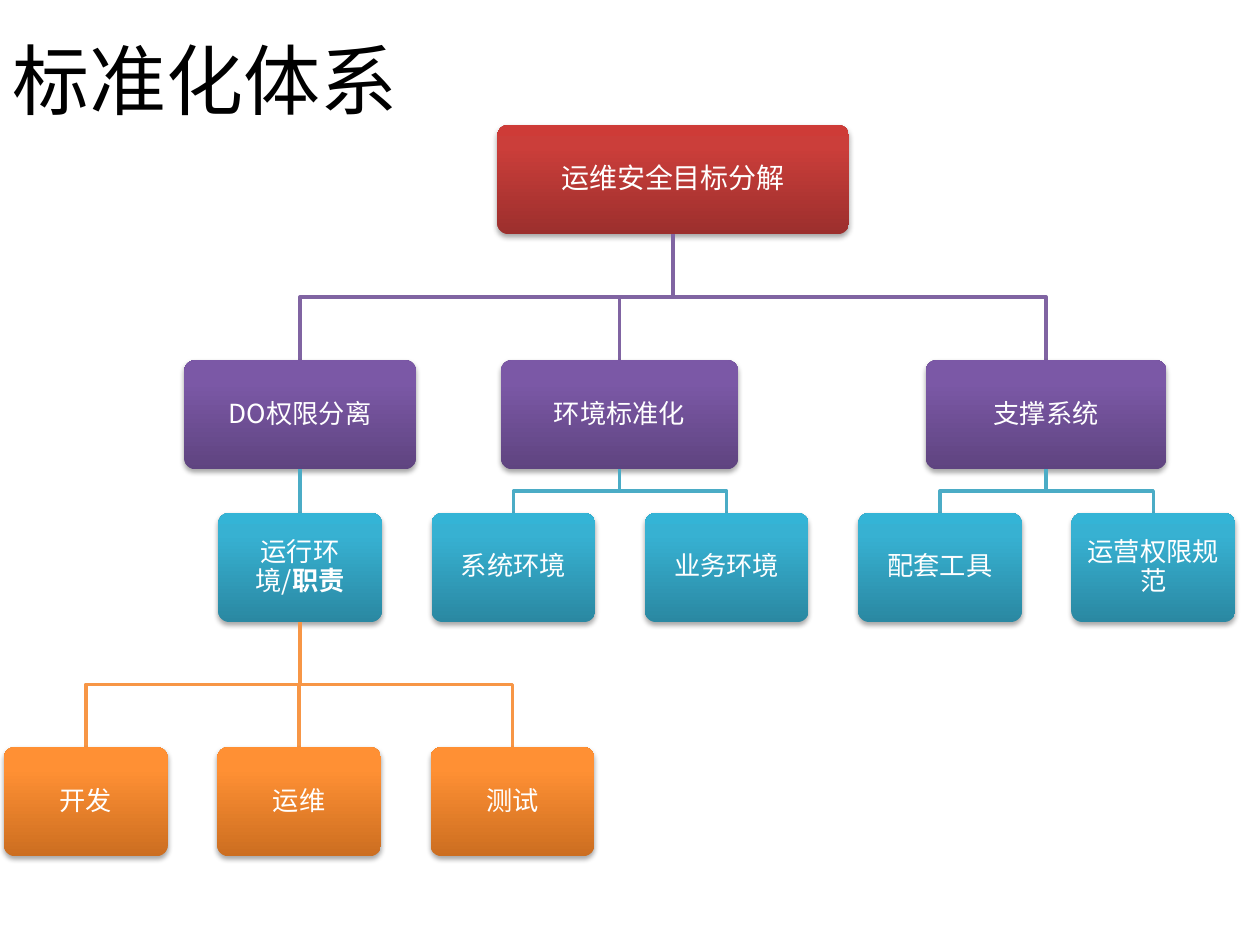
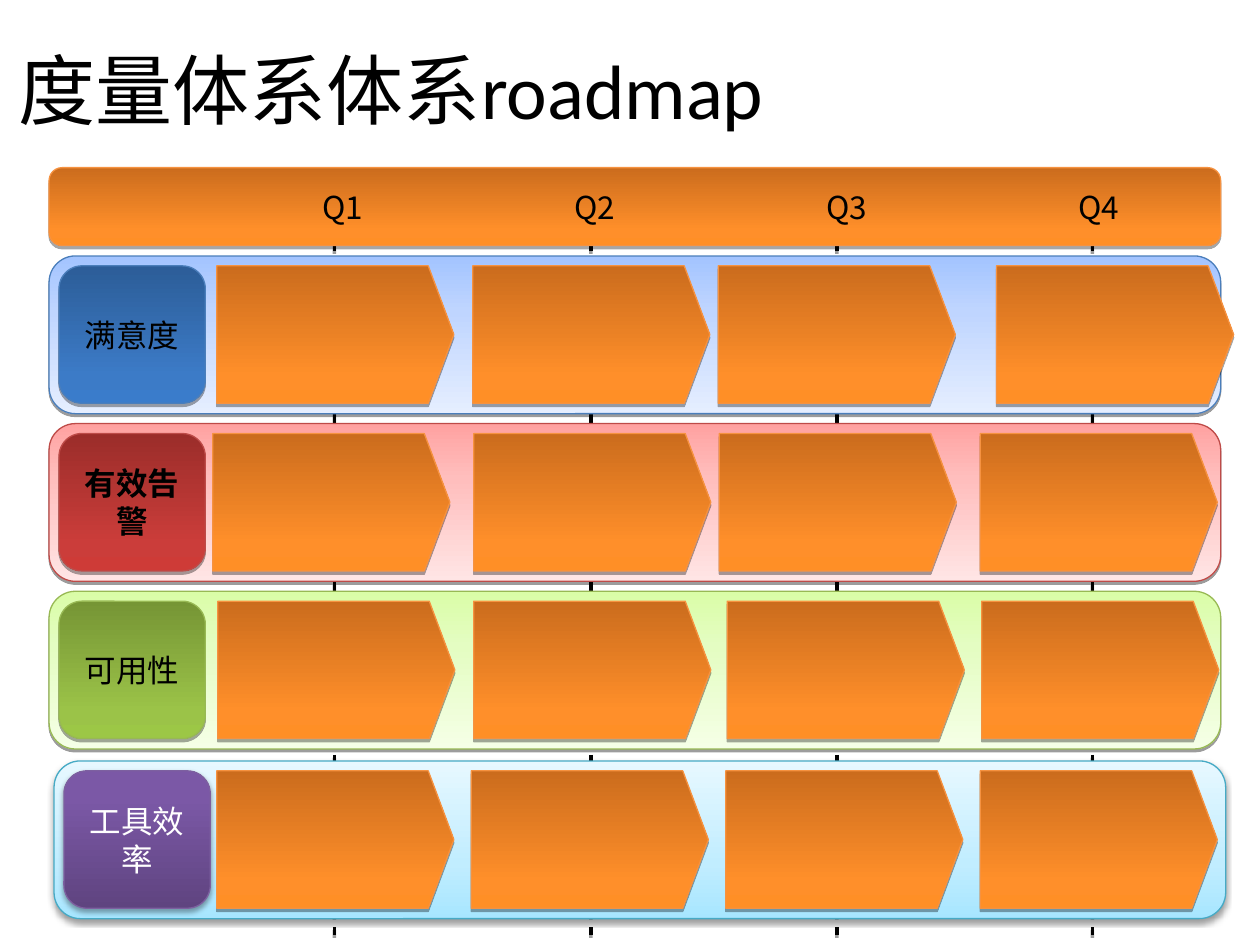
from dataclasses import dataclass
from typing import Optional

from lxml import etree
from pptx import Presentation, util as u
from pptx.dml.color import RGBColor
from pptx.enum import dml, shapes, text
from pptx.oxml import parse_xml
from pptx.oxml.ns import nsdecls, qn

Cm = u.Cm
KIND = shapes.MSO_SHAPE
ALIGN = text.PP_ALIGN


@dataclass(frozen=True)
class Shade:
    alpha: int
    blur: float
    dist: float


@dataclass(frozen=True)
class Look:
    stops: tuple[tuple[int, str], ...]
    angle: int
    shade: Shade
    line: Optional[str] = None


@dataclass(frozen=True)
class Style:
    size: int
    color: str
    font: str = "Noto Sans CJK SC"


def deep(low: str, mid: str, high: str, line: Optional[str] = None,
         angle: int = 90, blur: float = 0) -> Look:
    return Look(((0, low), (80, mid), (100, high)), angle, Shade(35, blur, 1.8), line)


def pale(low: str, mid: str, high: str, line: str,
         angle: int = 90, blur: float = 0) -> Look:
    return Look(((0, low), (35, mid), (100, high)), angle, Shade(38, blur, 1.6), line)


@dataclass(frozen=True)
class Theme:
    cjk: str = "Noto Sans CJK SC"
    title: Style = Style(44, "000000", "Calibri")
    root: Style = Style(16, "FFFFFF")
    node: Style = Style(15, "FFFFFF")
    label: Style = Style(18, "000000")
    light: Style = Style(18, "FFFFFF")
    rule: str = "000000"
    orange: Look = deep("CB6C1D", "FF8F2A", "FF8F26", "F69240")
    tiers: tuple[Look, ...] = (
        deep("9C2F2D", "CB3E3A", "CE3B37", angle=270, blur=3.1),
        deep("5F4480", "7B58A6", "7C57A8", angle=270, blur=3.1),
        deep("2A88A2", "37B1D2", "34B4D6", angle=270, blur=3.1),
        deep("CC6E20", "FF9034", "FF9136", angle=270, blur=3.1),
    )
    links: tuple[str, ...] = ("8064A2", "4BACC6", "F79646")


THEME = Theme()


@dataclass(frozen=True)
class Node:
    text: str
    mid: float
    width: float = 3.3
    kids: tuple["Node", ...] = ()
    bold: str = ""


@dataclass(frozen=True)
class Track:
    name: str
    left: float
    top: float
    band: Look
    badge: Look
    steps: tuple[float, ...]
    style: Style = THEME.label
    bold: bool = False


STEP = 4.3
TIER_TOPS = (2.52, 7.26, 10.34, 15.06)
NODE_H = 2.2


def spot(index: int, start: float = 6.05) -> float:
    return start + STEP * index


TREE = Node("运维安全目标分解", 13.57, 7.09, (
    Node("DO权限分离", 6.05, 4.67, (
        Node("运行环境/", spot(0), bold="职责", kids=tuple(
            Node(name, spot(i, 1.73)) for i, name in enumerate(("开发", "运维", "测试")))),
    )),
    Node("环境标准化", 12.49, 4.78, (
        Node("系统环境", spot(1)), Node("业务环境", spot(2)))),
    Node("支撑系统", 21.09, 4.85, (
        Node("配套工具", spot(3)), Node("运营权限规范", spot(4)))),
))

TRACKS = (
    Track("满意度", 0.99, 5.16,
          pale("A3C4FF", "BFD5FF", "E5EEFF", "4A7EBB"),
          deep("2C5D98", "3C7BC7", "3A7CCB", "4A7EBB"),
          (4.37, 9.53, 14.48, 20.09)),
    Track("有效告警", 0.99, 8.54,
          pale("FFA2A1", "FFBEBD", "FFE5E5", "BE4B48"),
          deep("9B2D2A", "CB3D3A", "CE3B37", "BE4B48"),
          (4.29, 9.55, 14.5, 19.76), bold=True),
    Track("可用性", 0.99, 11.92,
          pale("DAFDA7", "E4FDC2", "F5FFE6", "98B954"),
          deep("769535", "9BC348", "9CC746", "98B954"),
          (4.39, 9.55, 14.66, 19.79)),
    Track("工具效率", 1.09, 15.34,
          pale("A7E6FF", "C1EDFF", "E7F8FF", "46AAC5", 270, 3.1),
          deep("5F4480", "7B58A6", "7C57A8", "7D60A0", 270, 3.1),
          (4.37, 9.5, 14.63, 19.76), THEME.light),
)


def cast(shape, shade: Shade) -> None:
    """Give the shape a soft black shadow straight below it."""
    props = shape._element.spPr
    old = props.find(qn("a:effectLst"))
    if old is not None:
        props.remove(old)
    props.append(parse_xml(
        f'<a:effectLst {nsdecls("a")}><a:outerShdw blurRad="{u.Pt(shade.blur)}" '
        f'dist="{u.Pt(shade.dist)}" dir="5400000" rotWithShape="0"><a:srgbClr val="000000">'
        f'<a:alpha val="{shade.alpha * 1000}"/></a:srgbClr></a:outerShdw></a:effectLst>'))


def paint(shape, look: Look) -> None:
    stops = "".join(f'<a:gs pos="{at * 1000}"><a:srgbClr val="{color}"/></a:gs>'
                    for at, color in look.stops)
    shape.fill.background()
    props = shape._element.spPr
    props.replace(props.find(qn("a:noFill")), parse_xml(
        f'<a:gradFill {nsdecls("a")} rotWithShape="1"><a:gsLst>{stops}</a:gsLst>'
        f'<a:lin ang="{look.angle * 60000}" scaled="0"/></a:gradFill>'))
    if look.line:
        stroke(shape, look.line, 0.75)
    else:
        shape.line.fill.background()
    cast(shape, look.shade)


def stroke(shape, color: str, width: float) -> None:
    shape.line.color.rgb = RGBColor.from_string(color)
    shape.line.width = u.Pt(width)


def block(slide, kind, left: float, top: float, width: float, height: float,
          look: Look, round_by: float):
    shape = slide.shapes.add_shape(kind, Cm(left), Cm(top), Cm(width), Cm(height))
    shape.adjustments[0] = round_by
    paint(shape, look)
    return shape


def dress(run, style: Style, bold: bool) -> None:
    run.font.size = u.Pt(style.size)
    run.font.bold = bold
    run.font.color.rgb = RGBColor.from_string(style.color)
    run.font.name = style.font
    etree.SubElement(run._r.get_or_add_rPr(), qn("a:ea"), typeface=THEME.cjk)


def write(shape, words: str, style: Style, align=ALIGN.CENTER,
          bold: bool = False, tail: str = ""):
    """Fill the shape with one paragraph; tail is added in bold."""
    frame = shape.text_frame
    frame.word_wrap = True
    frame.vertical_anchor = text.MSO_ANCHOR.MIDDLE
    para = frame.paragraphs[0]
    para.text = words
    para.alignment = align
    dress(para.runs[0], style, bold)
    if tail:
        run = para.add_run()
        run.text = tail
        dress(run, style, True)
    return para


def head(slide, words: str, left: float = 0, top: float = 0) -> None:
    box = slide.shapes.add_textbox(Cm(left), Cm(top), Cm(22.86), Cm(3.18))
    write(box, words, THEME.title, ALIGN.LEFT)


def rule(slide, x: float, top: float, end: float, color: str):
    line = slide.shapes.add_connector(
        shapes.MSO_CONNECTOR.STRAIGHT, Cm(x), Cm(top), Cm(x), Cm(end))
    stroke(line, color, 2)
    etree.SubElement(line._element.spPr, qn("a:effectLst"))
    return line


def link(slide, start: float, goal: float, tier: int) -> None:
    """Join a node of this tier to a child in the next one."""
    top, end = TIER_TOPS[tier] + NODE_H, TIER_TOPS[tier + 1]
    color = THEME.links[tier]
    if start == goal:
        rule(slide, start, top, end, color)
        return
    bend = (top + end) / 2
    pen = slide.shapes.build_freeform(Cm(start), Cm(top))
    pen.add_line_segments(
        [(Cm(start), Cm(bend)), (Cm(goal), Cm(bend)), (Cm(goal), Cm(end))], close=False)
    shape = pen.convert_to_shape()
    shape.fill.background()
    stroke(shape, color, 2)
    shape.shadow.inherit = False


def grow(slide, node: Node, tier: int = 0) -> None:
    """Draw a node and everything below it."""
    box = block(slide, KIND.ROUNDED_RECTANGLE, node.mid - node.width / 2,
                TIER_TOPS[tier], node.width, NODE_H, THEME.tiers[tier], 0.1)
    frame = box.text_frame
    frame.margin_left = frame.margin_right = Cm(0.16)
    frame.margin_top = frame.margin_bottom = Cm(0.16)
    para = write(box, node.text, THEME.node if tier else THEME.root, tail=node.bold)
    para.line_spacing = 0.9
    for kid in node.kids:
        link(slide, node.mid, kid.mid, tier)
        grow(slide, kid, tier + 1)


def header(slide) -> None:
    names = ("Q1", "Q2", "Q3", "Q4")
    bar = block(slide, KIND.ROUNDED_RECTANGLE, 0.99, 3.38, 23.62, 1.57,
                THEME.orange, 0.167)
    para = write(bar, "".join(f"\t{name}" for name in names), THEME.label, ALIGN.LEFT)
    tabs = etree.Element(qn("a:tabLst"))
    for i in range(len(names)):
        etree.SubElement(tabs, qn("a:tab"), pos=str(Cm(5.18 + 5.08 * i)), algn="l")
    para._p.get_or_add_pPr().append(tabs)


def lane(slide, track: Track) -> None:
    pad, height = 0.2, 2.77
    top = track.top + pad
    block(slide, KIND.ROUNDED_RECTANGLE, track.left, track.top, 23.62, 3.18,
          track.band, 0.167)
    badge = block(slide, KIND.ROUNDED_RECTANGLE, track.left + pad, top, 2.95, height,
                  track.badge, 0.167)
    write(badge, track.name, track.style, bold=track.bold)
    for left in track.steps:
        block(slide, KIND.PENTAGON, left, top, 4.78, height, THEME.orange, 0.186)


def system(slide) -> None:
    grow(slide, TREE)
    head(slide, "标准化体系")


def roadmap(slide) -> None:
    head(slide, "度量体系体系roadmap", 0.13, 0.2)
    for x in (6.74, 11.91, 16.87, 22.02):
        line = rule(slide, x, 4.78, 18.85, THEME.rule)
        line.line.dash_style = dml.MSO_LINE.DASH
        cast(line, Shade(38, 0, 1.6))
    header(slide)
    for track in TRACKS:
        lane(slide, track)


def main() -> None:
    deck = Presentation()
    deck.slide_width, deck.slide_height = Cm(25.4), Cm(19.05)
    for draw in (system, roadmap):
        draw(deck.slides.add_slide(deck.slide_layouts[6]))
    deck.save("out.pptx")


if __name__ == "__main__":
    main()
